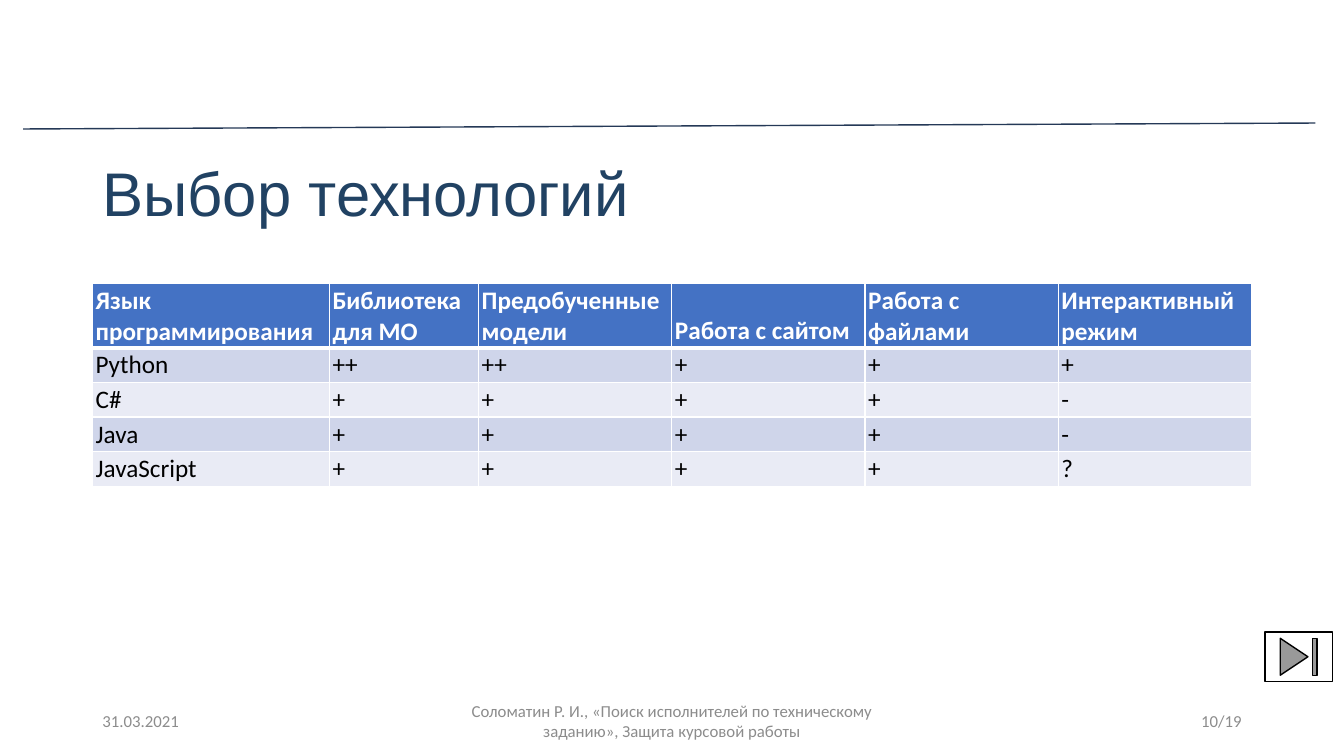
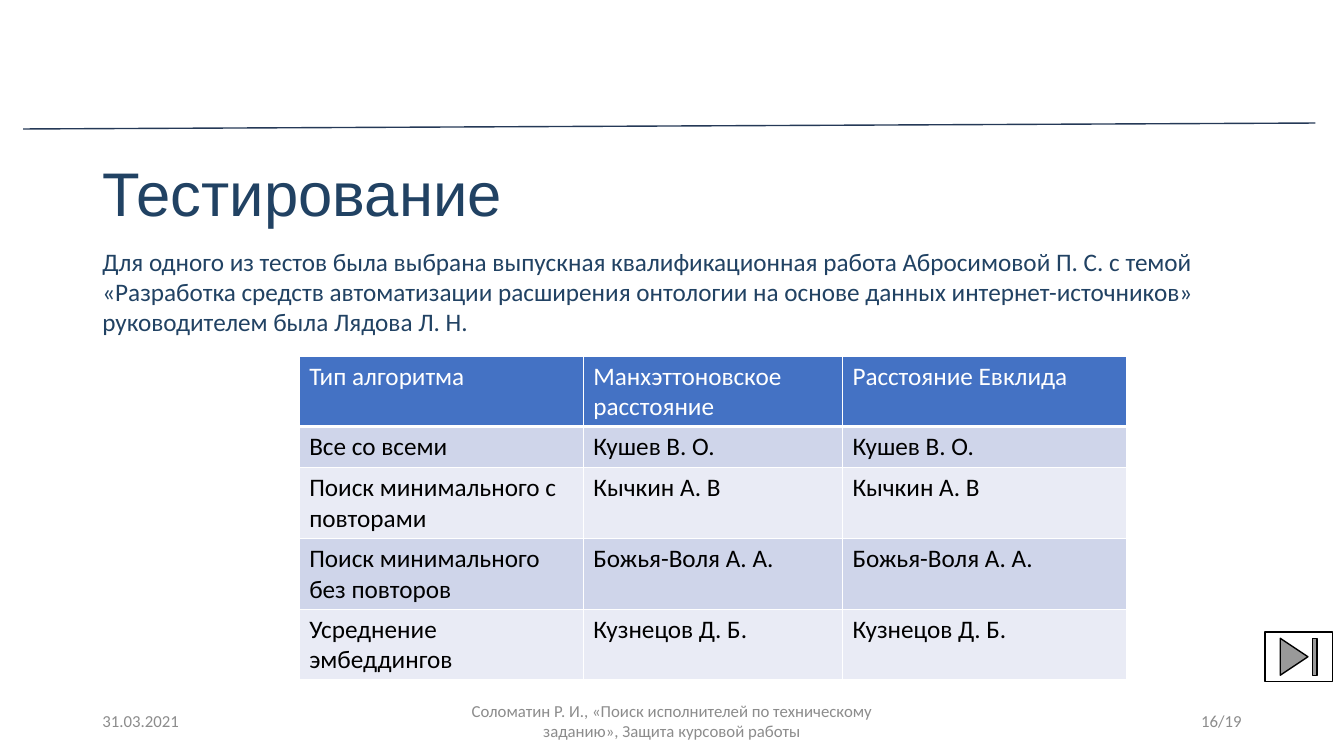
import dataclasses

import lxml.etree
import pptx
import pptx.dml.color
import pptx.enum.shapes
import pptx.enum.text
import pptx.oxml.ns
import pptx.util

Cm = pptx.util.Cm
Pt = pptx.util.Pt
Align = pptx.enum.text.PP_ALIGN
Anchor = pptx.enum.text.MSO_ANCHOR


@dataclasses.dataclass(frozen=True)
class Theme:
    title_font: str = "Arial"
    body_font: str = "Calibri"
    title_size: int = 44
    body_size: int = 18
    footer_size: int = 12
    navy: str = "214263"
    rule: str = "253957"
    gray: str = "8C8C8C"
    header: str = "4472C4"
    bands: tuple = ("CFD5EA", "E9EBF5")
    white: str = "FFFFFF"
    black: str = "000000"
    left: float = 2.33
    width: float = 29.21


def color(value):
    return pptx.dml.color.RGBColor.from_string(value)


def assign(target, values):
    for name, value in values.items():
        setattr(target, name, value)


class Deck:
    def __init__(self, theme):
        self.theme = theme
        self.presentation = pptx.Presentation()
        assign(self.presentation, {"slide_width": Cm(33.87), "slide_height": Cm(19.05)})
        self.slide = None

    def fill_text(self, frame, text, font, ink, align=Align.LEFT, spacing=1.0):
        frame.text = text
        paragraph = frame.paragraphs[0]
        assign(paragraph, {"alignment": align, "line_spacing": spacing})
        run_font = paragraph.runs[0].font
        assign(run_font, font)
        run_font.color.rgb = color(ink)

    def font(self, size, bold=False):
        return {"name": self.theme.body_font, "size": Pt(size), "bold": bold}

    def add_slide(self, title, number):
        layout = self.presentation.slide_layouts[5]
        self.slide = self.presentation.slides.add_slide(layout)
        self.rule()
        self.title(title)
        self.footer(number)
        self.end_button()

    def rule(self):
        connector = self.slide.shapes.add_connector(
            pptx.enum.shapes.MSO_CONNECTOR.STRAIGHT, Cm(0.58), Cm(3.25), Cm(33.15), Cm(3.1))
        connector.line.color.rgb = color(self.theme.rule)
        connector.line.width = Pt(1)
        properties = connector._element.spPr
        lxml.etree.SubElement(properties, pptx.oxml.ns.qn("a:effectLst"))

    def title(self, text):
        theme = self.theme
        placeholder = self.slide.shapes.title
        assign(placeholder, {"left": Cm(theme.left), "top": Cm(3.86),
                             "width": Cm(theme.width), "height": Cm(2.18)})
        frame = placeholder.text_frame
        assign(frame, {"word_wrap": True, "vertical_anchor": Anchor.MIDDLE,
                       "auto_size": pptx.enum.text.MSO_AUTO_SIZE.NONE})
        font = {"name": theme.title_font, "size": Pt(theme.title_size)}
        self.fill_text(frame, text, font, theme.navy, spacing=0.9)

    def text(self, text, left, top, width, height, size, ink,
             align=Align.LEFT, anchor=Anchor.TOP):
        shape = self.slide.shapes.add_textbox(Cm(left), Cm(top), Cm(width), Cm(height))
        assign(shape.text_frame, {"word_wrap": True, "vertical_anchor": anchor})
        self.fill_text(shape.text_frame, text, self.font(size), ink, align)

    def body(self, text):
        theme = self.theme
        self.text(text, theme.left, 6.07, theme.width, 2.56, theme.body_size, theme.navy)

    def footer(self, number):
        theme = self.theme
        parts = (
            ("31.03.2021", theme.left, 7.62, Align.LEFT),
            ("Соломатин Р. И., «Поиск исполнителей по техническому заданию», "
             "Защита курсовой работы", 11.22, 11.43, Align.CENTER),
            (f"{number}/19", 23.92, 7.62, Align.RIGHT),
        )
        for text, left, width, align in parts:
            self.text(text, left, 17.66, width, 1.01, theme.footer_size, theme.gray,
                      align, Anchor.MIDDLE)

    def end_button(self):
        shape = self.slide.shapes.add_shape(
            pptx.enum.shapes.MSO_SHAPE.ACTION_BUTTON_END,
            Cm(31.88), Cm(15.93), Cm(1.7), Cm(1.24))
        shape.shadow.inherit = False
        shape.fill.solid()
        shape.fill.fore_color.rgb = color(self.theme.white)
        shape.line.color.rgb = color(self.theme.black)
        shape.line.width = Pt(1)

    def borders(self, cell, widths):
        properties = cell._tc.get_or_add_tcPr()
        for side, width in widths.items():
            line = lxml.etree.SubElement(
                properties, pptx.oxml.ns.qn(f"a:ln{side}"), w=str(Pt(width)))
            fill = lxml.etree.SubElement(line, pptx.oxml.ns.qn("a:solidFill"))
            lxml.etree.SubElement(
                fill, pptx.oxml.ns.qn("a:srgbClr"), val=self.theme.white)

    def table(self, rows, left, top, widths, heights, cell_format, bold_header=False):
        theme = self.theme
        table = self.slide.shapes.add_table(
            len(rows), len(widths), Cm(left), Cm(top),
            Cm(sum(widths)), Cm(sum(heights))).table
        for column, width in zip(table.columns, widths):
            column.width = Cm(width)
        for row, height in zip(table.rows, heights):
            row.height = Cm(height)
        for row_index, row in enumerate(rows):
            is_header = row_index == 0
            fill = theme.header if is_header else theme.bands[(row_index - 1) % 2]
            ink = theme.white if is_header else theme.black
            font = self.font(theme.body_size, is_header and bold_header)
            sides = {"L": 1, "R": 1, "T": 3 if row_index == 1 else 1,
                     "B": 3 if is_header else 1}
            for column_index, text in enumerate(row):
                cell = table.cell(row_index, column_index)
                self.borders(cell, sides)
                cell.fill.solid()
                cell.fill.fore_color.rgb = color(fill)
                assign(cell, cell_format)
                self.fill_text(cell.text_frame, text, font, ink)


def main():
    deck = Deck(Theme())

    deck.add_slide("Выбор технологий", 10)
    languages = (
        ("Язык программирования", "Библиотека для МО", "Предобученные модели",
         "Работа с сайтом", "Работа с файлами", "Интерактивный режим"),
        ("Python", "++", "++", "+", "+", "+"),
        ("C#", "+", "+", "+", "+", "-"),
        ("Java", "+", "+", "+", "+", "-"),
        ("JavaScript", "+", "+", "+", "+", "?"),
    )
    compact = {"vertical_anchor": Anchor.BOTTOM,
               "margin_left": Cm(0.08), "margin_right": Cm(0.08),
               "margin_top": Cm(0.05), "margin_bottom": Cm(0.05)}
    deck.table(languages, deck.theme.left, 7.14, [5.97, 3.76] + [4.87] * 4,
               [1.63] + [0.87] * 4, compact, bold_header=True)

    deck.add_slide("Тестирование", 16)
    deck.body("Для одного из тестов была выбрана выпускная квалификационная работа "
              "Абросимовой П. С. с темой «Разработка средств автоматизации расширения "
              "онтологии на основе данных интернет-источников» руководителем была "
              "Лядова Л. Н.")
    results = (
        ("Все со всеми", "Кушев В. О."),
        ("Поиск минимального с повторами", "Кычкин А. В"),
        ("Поиск минимального без повторов", "Божья-Воля А. А."),
        ("Усреднение эмбеддингов", "Кузнецов Д. Б."),
    )
    algorithms = [("Тип алгоритма", "Манхэттоновское расстояние", "Расстояние Евклида")]
    algorithms += [(name, person, person) for name, person in results]
    deck.table(algorithms, 7.54, 8.97, [7.16, 6.53, 7.16],
               [1.78, 1.04] + [1.78] * 3, {"vertical_anchor": Anchor.TOP})

    deck.presentation.save("out.pptx")


if __name__ == "__main__":
    main()
